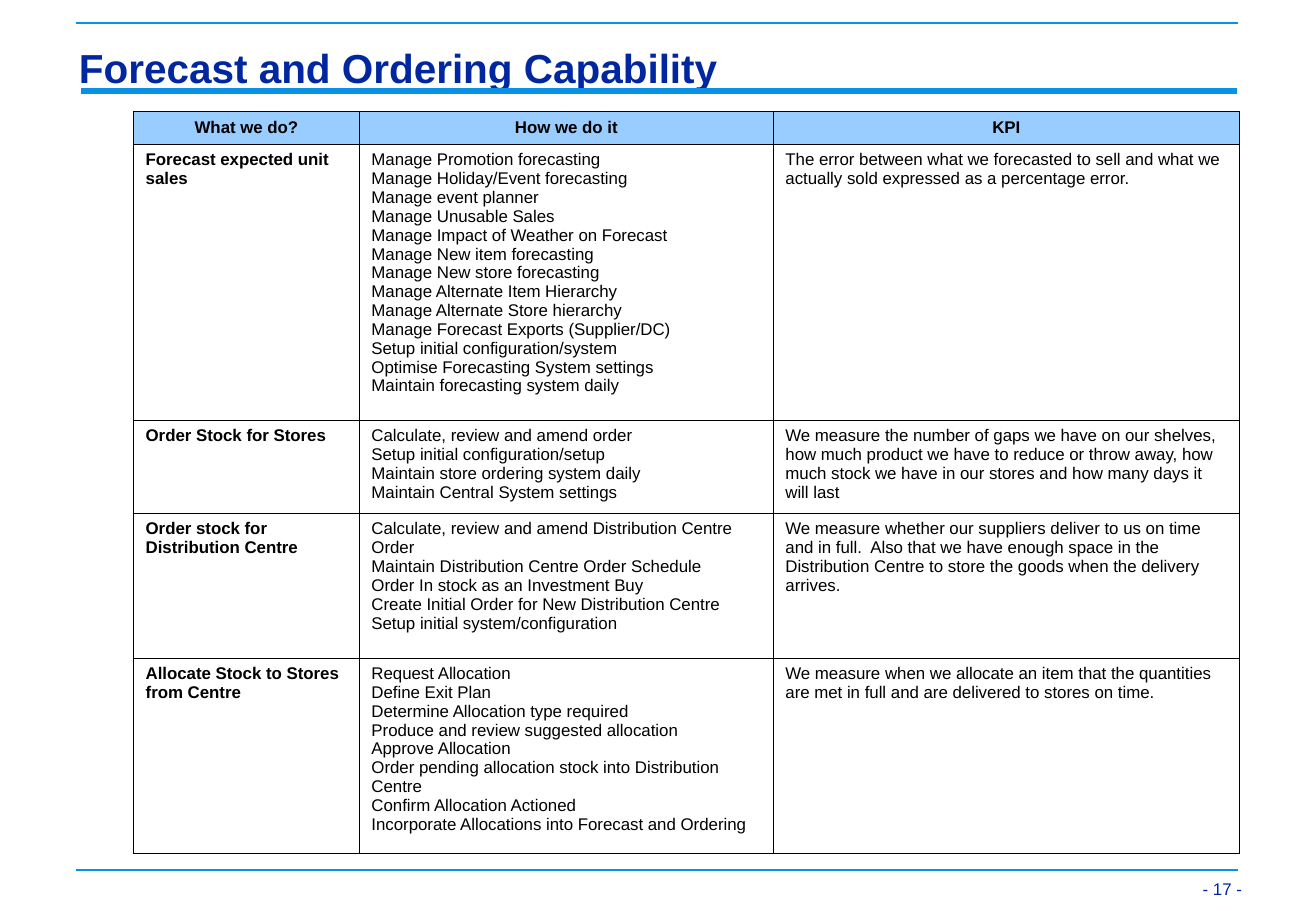
"""Build the Forecast and Ordering Capability slide."""
from dataclasses import dataclass

from lxml.etree import SubElement
from pptx import Presentation
from pptx.dml.color import RGBColor
from pptx.enum.shapes import MSO_CONNECTOR
from pptx.enum.text import MSO_ANCHOR, MSO_AUTO_SIZE, PP_ALIGN
from pptx.oxml.ns import qn
from pptx.slide import Slide
from pptx.table import _Cell
from pptx.text.text import TextFrame
from pptx.util import Emu, Pt

EMU_PER_PX = 9144
COLORS = {"navy": "00279F", "azure": "0A91E6", "header": "99CCFF", "ink": "000000"}
FONT = "Arial"
BORDER_PT = 0.45
COLUMN_WIDTHS = (186, 341, 384)
HEADER_HEIGHT = 27
HEADINGS = ("What we do?", "How we do it", "KPI")


@dataclass(frozen=True)
class Rule:
    left: int
    right: int
    y: int
    weight: float


@dataclass(frozen=True)
class Capability:
    height: int
    what: str
    how: tuple[str, ...]
    kpi: str


RULES = (
    Rule(67, 1019, 75, 4),
    Rule(63, 1020, 19, 1),
    Rule(63, 1020, 716, 1),
)

CAPABILITIES = (
    Capability(
        227,
        "Forecast expected unit sales",
        (
            "Manage Promotion forecasting",
            "Manage Holiday/Event forecasting",
            "Manage event planner",
            "Manage Unusable Sales",
            "Manage Impact of Weather on Forecast",
            "Manage New item forecasting",
            "Manage New store forecasting",
            "Manage Alternate Item Hierarchy",
            "Manage Alternate Store hierarchy",
            "Manage Forecast Exports (Supplier/DC)",
            "Setup initial configuration/system",
            "Optimise Forecasting System settings",
            "Maintain forecasting system daily",
        ),
        "The error between what we forecasted to sell and what we actually sold "
        "expressed as a percentage error.",
    ),
    Capability(
        77,
        "Order Stock for Stores",
        (
            "Calculate, review and amend order",
            "Setup initial configuration/setup",
            "Maintain store ordering system daily",
            "Maintain Central System settings",
        ),
        "We measure the number of gaps we have on our shelves, how much product we "
        "have to reduce or throw away, how much stock we have in our stores and how "
        "many days it will last",
    ),
    Capability(
        119,
        "Order stock for Distribution Centre",
        (
            "Calculate, review and amend Distribution Centre Order",
            "Maintain Distribution Centre Order Schedule",
            "Order In stock as an Investment Buy",
            "Create Initial Order for New Distribution Centre",
            "Setup initial system/configuration",
        ),
        "We measure whether our suppliers deliver to us on time and in full.  Also "
        "that we have enough space in the Distribution Centre to store the goods when "
        "the delivery arrives.",
    ),
    Capability(
        161,
        "Allocate Stock to Stores from Centre",
        (
            "Request Allocation",
            "Define Exit Plan",
            "Determine Allocation type required",
            "Produce and review suggested allocation",
            "Approve Allocation",
            "Order pending allocation stock into Distribution Centre",
            "Confirm Allocation Actioned",
            "Incorporate Allocations into Forecast and Ordering",
        ),
        "We measure when we allocate an item that the quantities are met in full and "
        "are delivered to stores on time.",
    ),
)


def px(length: int) -> Emu:
    """Turn px into EMU."""
    return Emu(length * EMU_PER_PX)


def write(frame: TextFrame, *lines: str, size: int = 10, color: str = "ink",
          bold: bool = False, align: PP_ALIGN = PP_ALIGN.LEFT) -> None:
    """Fill a frame with one formatted paragraph, broken between the lines."""
    frame.word_wrap = True
    paragraph = frame.paragraphs[0]
    paragraph.text = "\v".join(lines)
    paragraph.alignment = align
    paragraph.space_before = Pt(0)
    for line_break in paragraph._p.findall(qn("a:br")):
        SubElement(line_break, qn("a:rPr"), sz=str(size * 100))
    for run in paragraph.runs:
        run.font.name = FONT
        run.font.size = Pt(size)
        run.font.bold = bold
        run.font.color.rgb = RGBColor.from_string(COLORS[color])


def anchor_bottom(frame: TextFrame) -> None:
    """Set the narrow margins and bottom anchor of text outside the table."""
    frame.margin_left = frame.margin_right = px(7)
    frame.margin_top = frame.margin_bottom = px(3)
    frame.vertical_anchor = MSO_ANCHOR.BOTTOM
    frame.auto_size = MSO_AUTO_SIZE.NONE


def draw_rule(slide: Slide, rule: Rule) -> None:
    """Draw one horizontal rule."""
    line = slide.shapes.add_connector(
        MSO_CONNECTOR.STRAIGHT, px(rule.left), px(rule.y), px(rule.right), px(rule.y))
    line.line.color.rgb = RGBColor.from_string(COLORS["azure"])
    line.line.width = Pt(rule.weight)
    SubElement(line._element.spPr, qn("a:effectLst"))


def style_cell(cell: _Cell, fill: str | None = None) -> None:
    """Give a cell its margins, borders and fill."""
    cell.margin_left = cell.margin_right = px(10)
    cell.margin_top = cell.margin_bottom = px(5)
    properties = cell._tc.get_or_add_tcPr()
    for side in ("lnL", "lnR", "lnT", "lnB"):
        border = SubElement(properties, qn(f"a:{side}"), w=str(Pt(BORDER_PT)))
        solid = SubElement(border, qn("a:solidFill"))
        SubElement(solid, qn("a:srgbClr"), val=COLORS["ink"])
    if fill:
        cell.fill.solid()
        cell.fill.fore_color.rgb = RGBColor.from_string(COLORS[fill])
    else:
        cell.fill.background()


def draw_capabilities(slide: Slide) -> None:
    """Draw the table of capabilities."""
    heights = (HEADER_HEIGHT, *(capability.height for capability in CAPABILITIES))
    table = slide.shapes.add_table(
        len(heights), len(COLUMN_WIDTHS), px(110), px(92),
        px(sum(COLUMN_WIDTHS)), px(sum(heights))).table
    table.first_row = table.horz_banding = False
    for column, width in zip(table.columns, COLUMN_WIDTHS):
        column.width = px(width)
    for row, height in zip(table.rows, heights):
        row.height = px(height)
    for cell, heading in zip(table.rows[0].cells, HEADINGS):
        style_cell(cell, fill="header")
        write(cell.text_frame, heading, bold=True, align=PP_ALIGN.CENTER)
    for number, capability in enumerate(CAPABILITIES, start=1):
        contents = ((capability.what,), capability.how, (capability.kpi,))
        for column, lines in enumerate(contents):
            cell = table.cell(number, column)
            style_cell(cell)
            write(cell.text_frame, *lines, bold=column == 0)


def main() -> None:
    """Build and save the slide."""
    deck = Presentation()
    deck.slide_width, deck.slide_height = px(1084), px(750)
    slide = deck.slides.add_slide(deck.slide_layouts[5])
    for rule in RULES:
        draw_rule(slide, rule)
    page = slide.shapes.add_textbox(px(970), px(704), px(60), px(39))
    anchor_bottom(page.text_frame)
    write(page.text_frame, "- 17 -", color="navy", align=PP_ALIGN.RIGHT)
    title = slide.shapes.title
    title.left, title.top, title.width, title.height = px(58), px(34), px(963), px(44)
    anchor_bottom(title.text_frame)
    write(title.text_frame, "Forecast and Ordering Capability",
          size=24, color="navy", bold=True)
    draw_capabilities(slide)
    deck.save("out.pptx")


if __name__ == "__main__":
    main()
